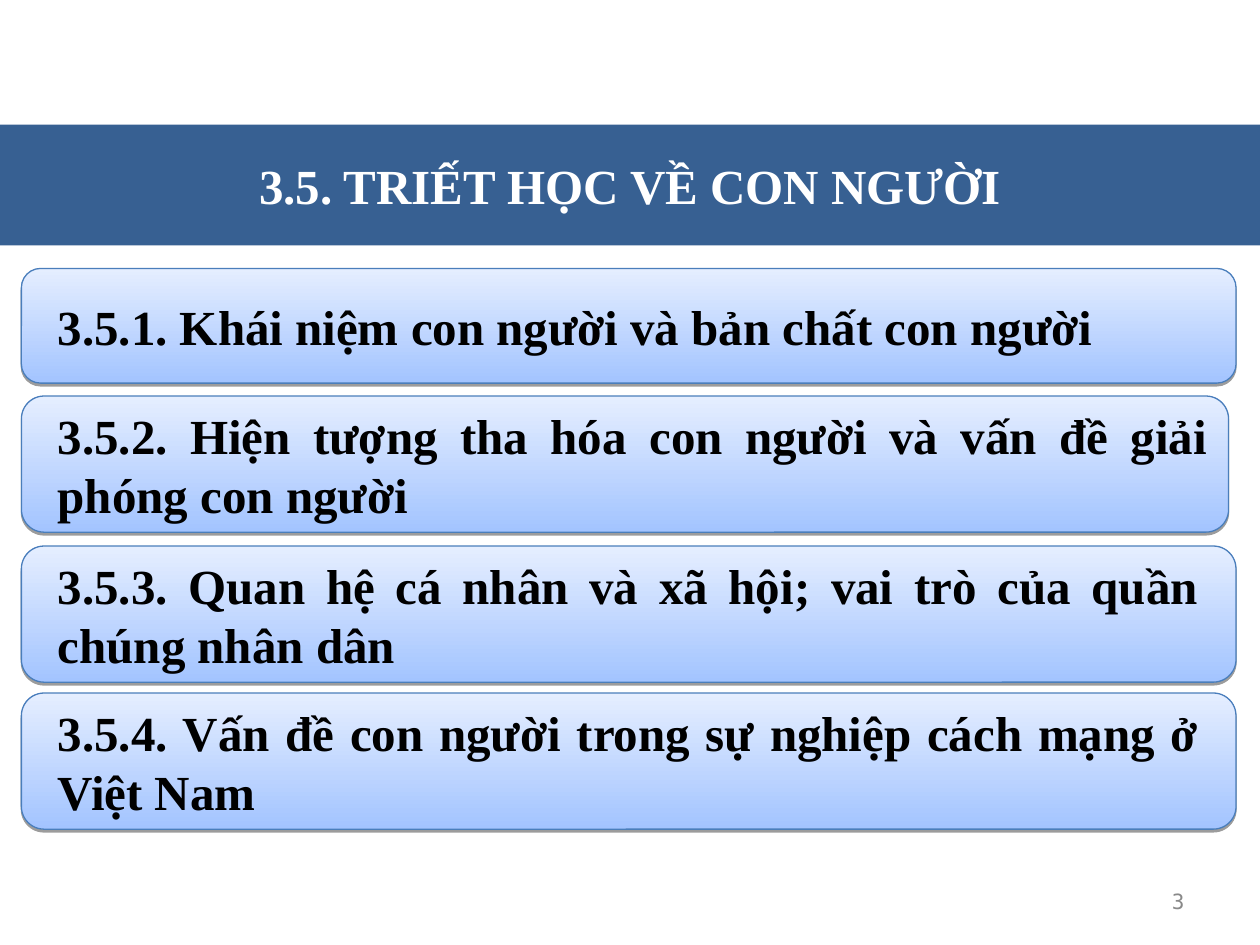
import dataclasses

import lxml.etree
import pptx
import pptx.dml.color
import pptx.enum.shapes
import pptx.enum.text
import pptx.oxml.ns
import pptx.util

Pt = pptx.util.Pt
Align = pptx.enum.text.PP_ALIGN
Kind = pptx.enum.shapes.MSO_SHAPE

HEX = {
    "band": "376092",
    "edge": "4A7EBB",
    "deep": "A3C4FF",
    "pale": "E5EEFF",
    "black": "000000",
    "white": "FFFFFF",
    "gray": "898989",
}
SERIF = "Times New Roman"
LEFT = 12.24


@dataclasses.dataclass
class Card:
    text: str
    top: float
    high: float = 77.8
    wide: float = 694.1
    span: float = 684.7  # width of the label
    align: Align = Align.JUSTIFY


CARDS = [
    Card("3.5.1. Khái niệm con người và bản chất con người",
         153.4, high=65.5, align=Align.LEFT),
    Card("3.5.2. Hiện tượng tha hóa con người và vấn đề giải phóng con người",
         226.3, wide=689.8, span=689.8),
    Card("3.5.3. Quan hệ cá nhân và xã hội; vai trò của quần chúng nhân dân",
         312),
    Card("3.5.4. Vấn đề con người trong sự nghiệp cách mạng ở Việt Nam",
         396),
]


def tint(name: str) -> pptx.dml.color.RGBColor:
    return pptx.dml.color.RGBColor.from_string(HEX[name])


def write(shape, text: str, *, color="black", size=28, face=SERIF, bold=True,
          align=Align.LEFT, side=7.2, edge=3.6) -> None:
    frame = shape.text_frame
    frame.word_wrap = True
    frame.vertical_anchor = pptx.enum.text.MSO_ANCHOR.MIDDLE
    frame.margin_left = frame.margin_right = Pt(side)
    frame.margin_top = frame.margin_bottom = Pt(edge)
    line = frame.paragraphs[0]
    line.alignment = align
    run = line.add_run()
    run.text = text
    run.font.name = face
    run.font.size = Pt(size)
    run.font.bold = bold
    run.font.color.rgb = tint(color)


def shade(shape) -> None:
    """Give the shape a hard shadow straight below it."""
    qn = pptx.oxml.ns.qn
    shape.shadow.inherit = False
    effects = shape._element.spPr.find(qn("a:effectLst"))
    drop = lxml.etree.SubElement(
        effects, qn("a:outerShdw"), blurRad="0", dist=str(Pt(1.6)),
        dir="5400000", rotWithShape="0")
    hue = lxml.etree.SubElement(drop, qn("a:srgbClr"), val=HEX["black"])
    lxml.etree.SubElement(hue, qn("a:alpha"), val="38000")


def draw_card(slide, card: Card) -> None:
    # Rounded panel
    panel = slide.shapes.add_shape(
        Kind.ROUNDED_RECTANGLE, Pt(LEFT), Pt(card.top),
        Pt(card.wide), Pt(card.high))
    panel.adjustments[0] = 0.167
    panel.fill.gradient()
    panel.fill.gradient_angle = 90
    for stop, name, place in zip(panel.fill.gradient_stops,
                                 ("deep", "pale"), (0, 1)):
        stop.color.rgb = tint(name)
        stop.position = place
    panel.line.color.rgb = tint("edge")
    panel.line.width = Pt(0.75)
    shade(panel)

    # Label over the panel
    label = slide.shapes.add_textbox(
        Pt(LEFT + 4.2), Pt(card.top + 3.8), Pt(card.span), Pt(card.high - 7))
    write(label, card.text, align=card.align, side=16.5, edge=0)


def main() -> None:
    deck = pptx.Presentation()
    deck.slide_width, deck.slide_height = Pt(720), Pt(540)
    slide = deck.slides.add_slide(deck.slide_layouts[6])

    # Title band
    band = slide.shapes.add_shape(
        Kind.RECTANGLE, 0, Pt(71.2), Pt(720), Pt(69))
    band.fill.solid()
    band.fill.fore_color.rgb = tint("band")
    band.line.fill.background()
    band.shadow.inherit = False
    write(band, "3.5. TRIẾT HỌC VỀ CON NGƯỜI", color="white",
          align=Align.CENTER)

    # Topics
    for card in CARDS:
        draw_card(slide, card)

    # Page number
    page = slide.shapes.add_textbox(Pt(516), Pt(500.5), Pt(168), Pt(28.75))
    write(page, "3", color="gray", size=12, face="DejaVu Sans Mono",
          bold=False, align=Align.RIGHT)

    deck.save("out.pptx")


if __name__ == "__main__":
    main()
